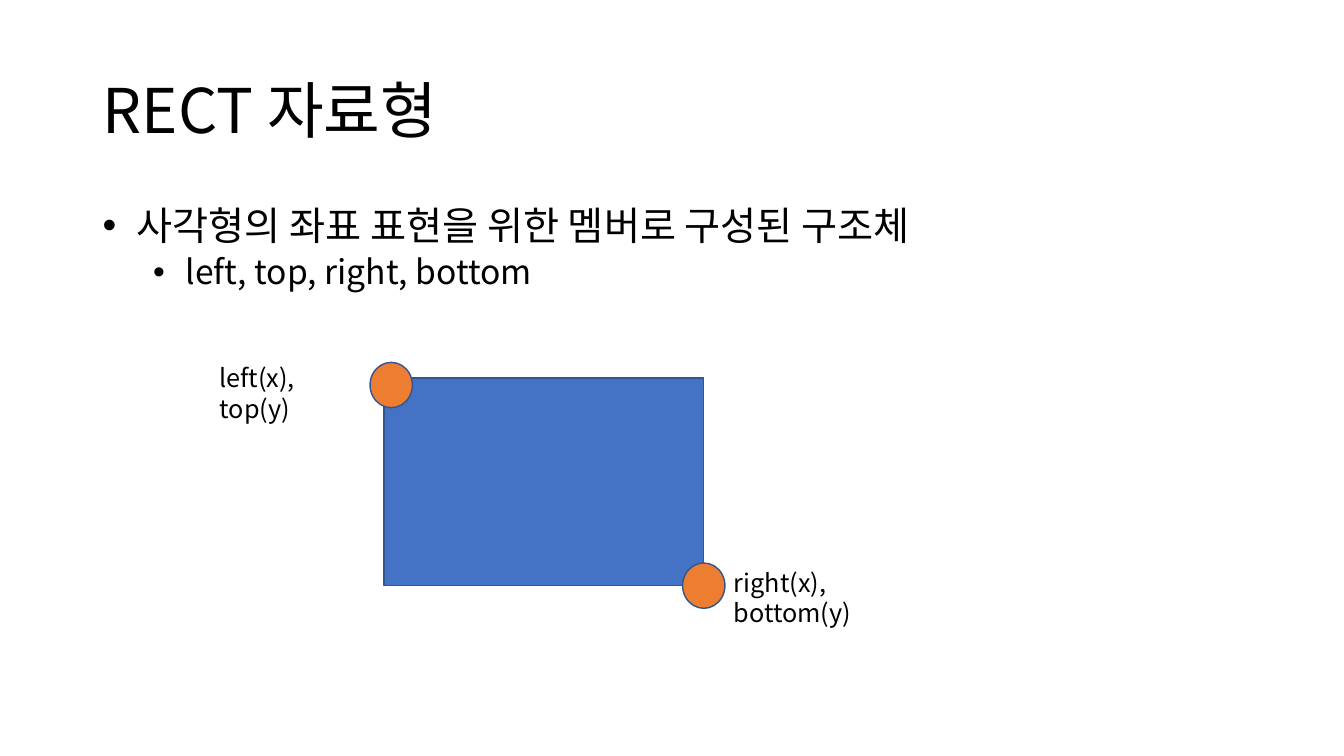
from pptx import Presentation
from pptx.dml.color import RGBColor
from pptx.enum.shapes import MSO_SHAPE
from pptx.enum.text import MSO_ANCHOR, PP_ALIGN
from pptx.oxml.ns import qn
from pptx.util import Inches, Pt
from lxml import etree

TITLE = "RECT 자료형"
BULLETS = [
    (" 사각형의 좌표 표현을 위한 멤버로 구성된 구조체", 28, 10, 0.25),
    (" left, top, right, bottom", 24, 5, 0.75),
]
RECT = (3.81, 3.75, 3.17, 2.06)
DOT = (0.42, 0.45)
CORNERS = [
    ((0, 0), (0.07, 0.07), ("left(x),", "top(y)"), (2.08, 3.55, 1.65, 0.7)),
    ((1, 1), (0, 0), ("right(x),", "bottom(y)"), (7.18, 5.58, 2.28, 0.7)),
]
FONT = "Noto Sans CJK KR"
COLORS = {"text": "000000", "rect": "4472C4", "dot": "ED7D31", "line": "325491"}


def color(name):
    return RGBColor.from_string(COLORS[name])


def add_run(p, text, size):
    r = p.add_run()
    r.text = text
    r.font.size = Pt(size)
    r.font.name = FONT
    r.font.color.rgb = color("text")
    ea = etree.SubElement(r._r.get_or_add_rPr(), qn("a:ea"))
    ea.set("typeface", FONT)


def add_text_box(s, box):
    tf = s.shapes.add_textbox(*map(Inches, box)).text_frame
    tf.word_wrap = True
    return tf


def add_figure(s, kind, box, fill):
    sp = s.shapes.add_shape(kind, *map(Inches, box))
    sp.shadow.inherit = False
    sp.fill.solid()
    sp.fill.fore_color.rgb = color(fill)
    sp.line.color.rgb = color("line")
    sp.line.width = Pt(1)


def add_title(s):
    sp = s.shapes.title
    sp.left, sp.top, sp.width, sp.height = map(Inches, (0.92, 0.4, 11.5, 1.45))
    sp.text_frame.vertical_anchor = MSO_ANCHOR.MIDDLE
    p = sp.text_frame.paragraphs[0]
    p.alignment = PP_ALIGN.LEFT
    p.line_spacing = 0.9
    add_run(p, TITLE, 44)


def add_bullets(s):
    tf = add_text_box(s, (0.92, 2, 11.5, 1.38))
    for i, (text, size, before, margin) in enumerate(BULLETS):
        p = tf.add_paragraph() if i else tf.paragraphs[0]
        p.level = i
        p.line_spacing = 0.9
        p.space_before = Pt(before)
        pPr = p._p.get_or_add_pPr()
        pPr.set("marL", str(Inches(margin)))
        pPr.set("indent", str(Inches(-0.25)))
        etree.SubElement(pPr, qn("a:buFont")).set("typeface", "Arial")
        etree.SubElement(pPr, qn("a:buChar")).set("char", "•")
        add_run(p, text, size)


def add_diagram(s):
    left, top, width, height = RECT
    add_figure(s, MSO_SHAPE.RECTANGLE, RECT, "rect")
    for (col, row), (dx, dy), lines, label_box in CORNERS:
        x = left + col * width + dx - DOT[0] / 2
        y = top + row * height + dy - DOT[1] / 2
        add_figure(s, MSO_SHAPE.OVAL, (x, y, *DOT), "dot")
        p = add_text_box(s, label_box).paragraphs[0]
        add_run(p, lines[0], 18)
        p.add_line_break()
        add_run(p, lines[1], 18)


def main():
    prs = Presentation()
    prs.slide_width, prs.slide_height = Inches(13.33), Inches(7.5)
    s = prs.slides.add_slide(prs.slide_layouts[5])
    add_title(s)
    add_bullets(s)
    add_diagram(s)
    prs.save("out.pptx")


if __name__ == "__main__":
    main()
